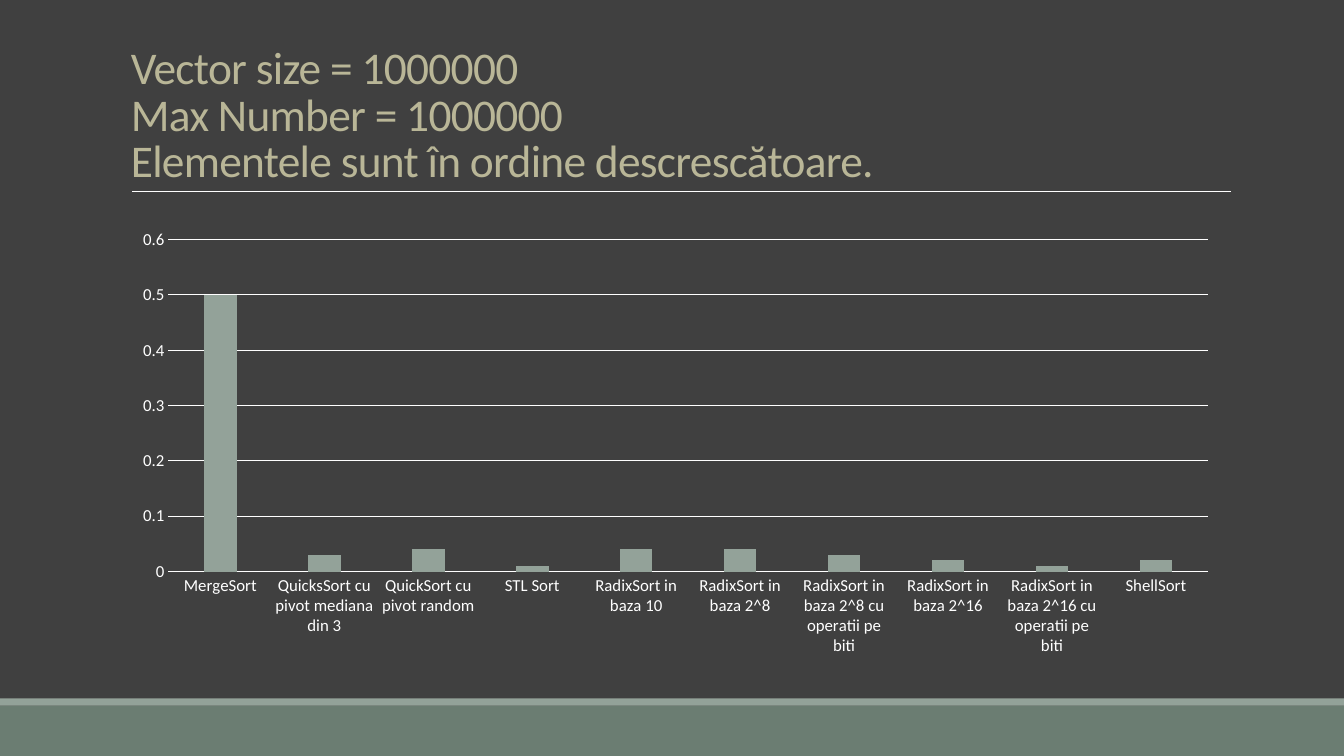
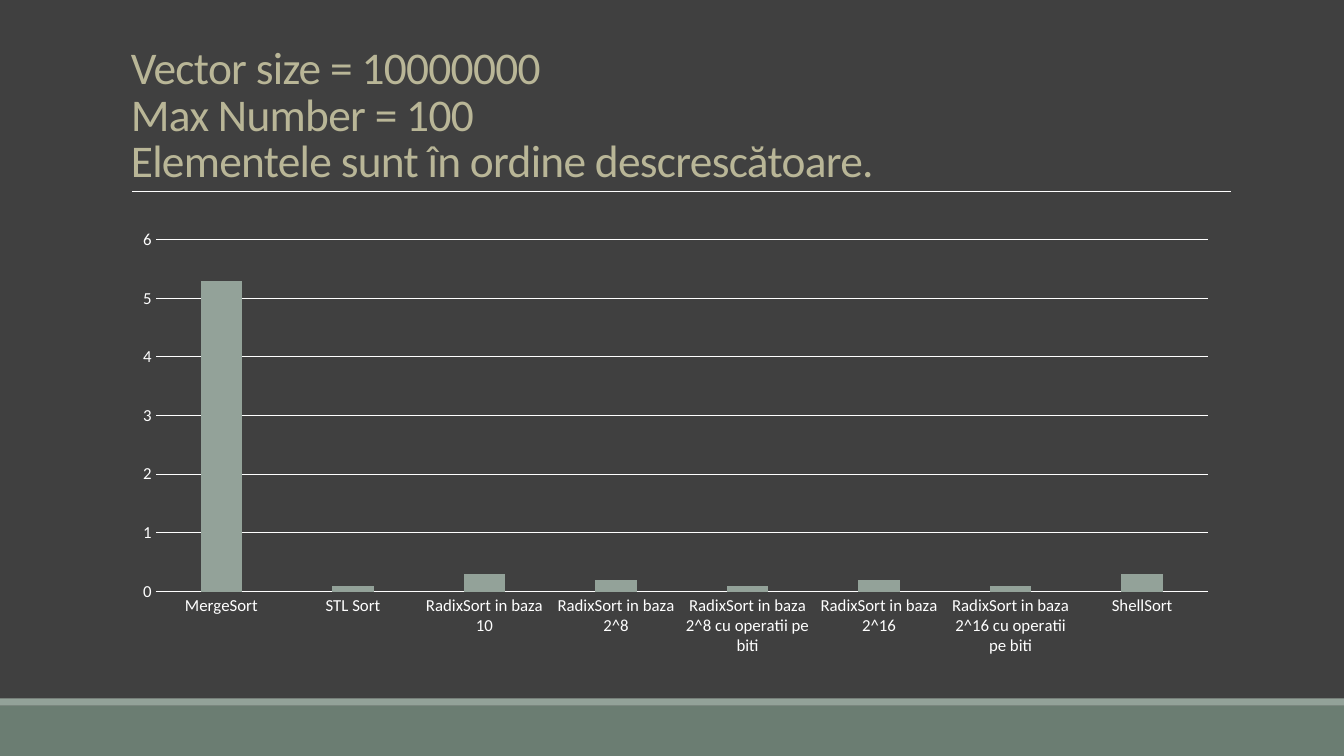
from dataclasses import dataclass

from lxml import etree
from pptx import Presentation
from pptx import util as u
from pptx.chart import data as chart_data
from pptx.dml.color import RGBColor
from pptx.enum import chart as ch
from pptx.enum import shapes, text
from pptx.oxml.ns import qn


@dataclass(frozen=True)
class Theme:
    background: RGBColor = RGBColor.from_string("404040")
    band: RGBColor = RGBColor.from_string("6B7D72")
    accent: RGBColor = RGBColor.from_string("93A299")
    title: RGBColor = RGBColor.from_string("B9B697")
    light: RGBColor = RGBColor.from_string("FFFFFF")
    font: str = "Calibri"
    title_size: float = 32.4
    chart_size: float = 10
    axis_size: float = 12


THEME = Theme()
WIDTH, HEIGHT = 13.33, 7.5
BANDS = [(7, 0.5, THEME.band), (6.93, 0.07, THEME.accent)]
ORDER = "Elementele sunt în ordine descrescătoare."

RESULTS = [
    {
        "title": ["Vector size = 1000000", "Max Number = 1000000", ORDER],
        "times": [
            ("MergeSort", 0.5),
            ("QuicksSort cu pivot mediana din 3", 0.03),
            ("QuickSort cu pivot random", 0.04),
            ("STL Sort", 0.01),
            ("RadixSort in baza 10", 0.04),
            ("RadixSort in baza 2^8", 0.04),
            ("RadixSort in baza 2^8 cu operatii pe biti", 0.03),
            ("RadixSort in baza 2^16", 0.02),
            ("RadixSort in baza 2^16 cu operatii pe biti", 0.01),
            ("ShellSort", 0.02),
        ],
    },
    {
        "title": ["Vector size = 10000000", "Max Number = 100", ORDER],
        "times": [
            ("MergeSort", 5.3),
            ("STL Sort", 0.1),
            ("RadixSort in baza 10", 0.3),
            ("RadixSort in baza 2^8", 0.2),
            ("RadixSort in baza 2^8 cu operatii pe biti", 0.1),
            ("RadixSort in baza 2^16", 0.2),
            ("RadixSort in baza 2^16 cu operatii pe biti", 0.1),
            ("ShellSort", 0.3),
        ],
    },
]


def inches(*lengths):
    return [u.Inches(length) for length in lengths]


def style_font(font, size, color):
    font.name = THEME.font
    font.size = u.Pt(size)
    font.color.rgb = color


def style_line(line, width):
    line.color.rgb = THEME.light
    line.width = u.Pt(width)


def add_frame(page):
    for top, height, color in BANDS:
        band = page.shapes.add_shape(
            shapes.MSO_SHAPE.RECTANGLE, *inches(0, top, WIDTH, height))
        band.shadow.inherit = False
        band.fill.solid()
        band.fill.fore_color.rgb = color
        band.line.fill.background()
    rule = page.shapes.add_connector(
        shapes.MSO_CONNECTOR.STRAIGHT, *inches(1.31, 1.9, 12.21, 1.9))
    style_line(rule.line, 0.5)
    etree.SubElement(rule._element.spPr, qn("a:effectLst"))


def add_title(page, lines):
    box = page.shapes.add_textbox(*inches(1.2, 0.31, 11, 1.59))
    frame = box.text_frame
    frame.word_wrap = True
    frame.vertical_anchor = text.MSO_ANCHOR.BOTTOM
    para = frame.paragraphs[0]
    para.text = "\v".join(lines)
    para.line_spacing = 0.85
    style_font(para.font, THEME.title_size, THEME.title)
    para._p.pPr.find(qn("a:defRPr")).set("spc", "-50")


def add_times_chart(page, times):
    names, values = zip(*times)
    data = chart_data.CategoryChartData()
    data.categories = names
    data.add_series("Series 1", values)
    chart = page.shapes.add_chart(
        ch.XL_CHART_TYPE.COLUMN_CLUSTERED, *inches(1.2, 2.19, 11, 4.4), data).chart
    chart.has_legend = False
    chart.has_title = False
    style_font(chart.font, THEME.chart_size, THEME.light)

    plot = chart.plots[0]
    plot.vary_by_categories = False
    plot.gap_width = 219
    plot.overlap = -27
    bars = plot.series[0].format.fill
    bars.solid()
    bars.fore_color.rgb = THEME.accent

    for axis in (chart.category_axis, chart.value_axis):
        axis.major_tick_mark = ch.XL_TICK_MARK.NONE
        axis.minor_tick_mark = ch.XL_TICK_MARK.NONE
        style_font(axis.tick_labels.font, THEME.axis_size, THEME.light)
    style_line(chart.category_axis.format.line, 0.75)
    chart.value_axis.format.line.fill.background()
    chart.value_axis.has_major_gridlines = True
    style_line(chart.value_axis.major_gridlines.format.line, 0.75)


def main():
    deck = Presentation()
    deck.slide_width, deck.slide_height = inches(WIDTH, HEIGHT)
    backdrop = deck.slide_master.background.fill
    backdrop.solid()
    backdrop.fore_color.rgb = THEME.background
    for result in RESULTS:
        page = deck.slides.add_slide(deck.slide_layouts[6])
        add_frame(page)
        add_title(page, result["title"])
        add_times_chart(page, result["times"])
    deck.save("out.pptx")


if __name__ == "__main__":
    main()
